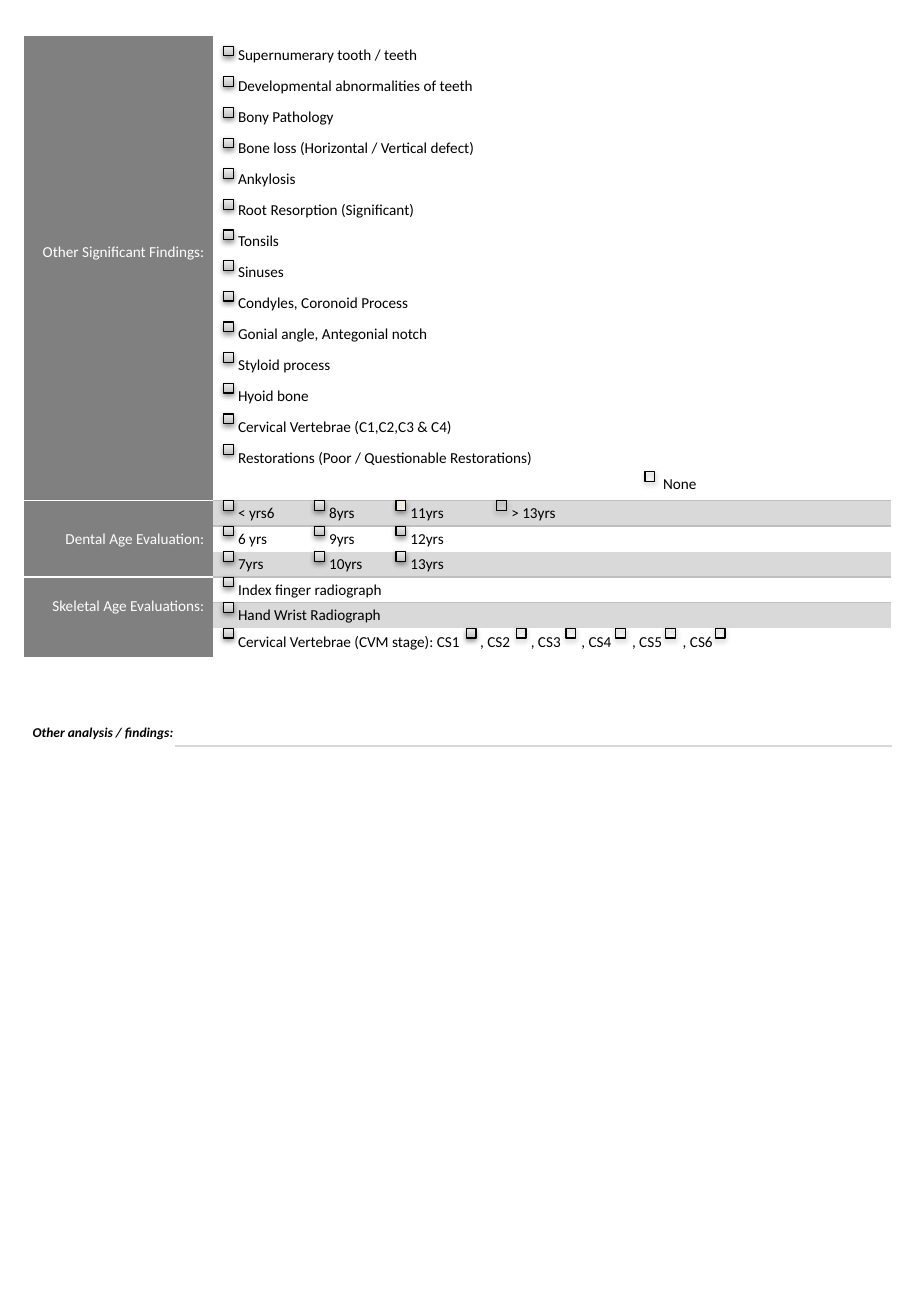
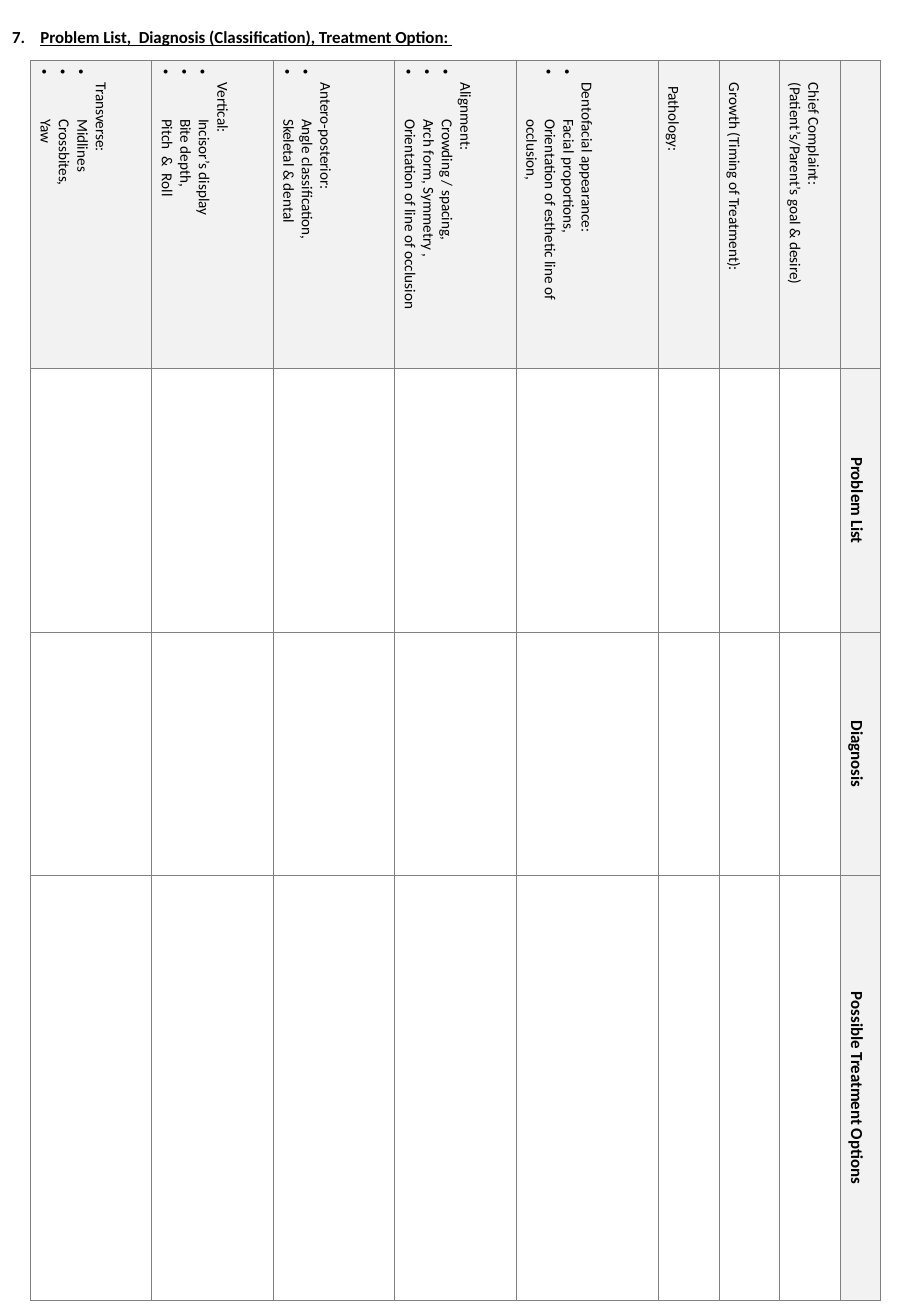
from dataclasses import dataclass
from itertools import accumulate
from typing import Optional

from lxml.etree import SubElement
from pptx import Presentation
from pptx.dml.color import RGBColor
from pptx.enum.shapes import MSO_SHAPE
from pptx.enum.text import MSO_ANCHOR as Anchor, MSO_AUTO_SIZE as AutoSize, PP_ALIGN as Align
from pptx.oxml import parse_xml
from pptx.oxml.ns import nsdecls, qn
from pptx.util import Inches, Pt


# Theme
@dataclass(frozen=True)
class Theme:
    font: str = "Calibri"
    ink: str = "000000"
    paper: str = "FFFFFF"
    label: str = "808080"
    band: str = "D9D9D9"
    rule: str = "BFBFBF"
    header: str = "F2F2F2"
    cream: str = "EEECE1"
    shades: tuple = ((0, "BDBDBD"), (35, "D1D1D1"), (100, "EEEEEE"))
    heading: float = 10
    text: float = 9
    note: float = 8


THEME = Theme()
NO_STYLE = "{2D5ABB26-0587-4C30-8999-92F81FD0307C}"


@dataclass(frozen=True)
class ParaStyle:
    """Paragraph look; gap is the extra width in points of a tab-marked space."""
    size: float = THEME.text
    color: str = THEME.ink
    bold: bool = False
    italic: bool = False
    align: Align = Align.LEFT
    left: float = 0
    first: float = 0
    spacing: float = 0
    lines: Optional[float] = None
    bullet: bool = False
    gap: float = 0


@dataclass(frozen=True)
class Entry:
    """Content of one table cell, placed by row and column."""
    row: int
    col: int
    lines: tuple = ()
    style: ParaStyle = ParaStyle()
    fill: Optional[str] = None
    rows: int = 1
    cols: int = 1
    foot: float = 0


@dataclass(frozen=True)
class Topic:
    """One column of the problem table."""
    width: float
    heading: tuple = ()
    points: tuple = ()
    indent: float = 0.08


# Drawing functions
def add_child(parent, tag: str, **attrs):
    return SubElement(parent, qn(tag), {name: str(value) for name, value in attrs.items()})


def format_paragraph(paragraph, style: ParaStyle) -> None:
    props = paragraph._p.get_or_add_pPr()
    props.set("marL", str(Inches(style.left)))
    props.set("indent", str(Inches(style.first)))
    if style.bullet:
        add_child(props, "a:buChar", char="•")
    paragraph.alignment = style.align
    paragraph.space_before = paragraph.space_after = Pt(style.spacing)
    if style.lines:
        paragraph.line_spacing = style.lines
    font = paragraph.font
    font.name, font.size = THEME.font, Pt(style.size)
    font.bold, font.italic = style.bold, style.italic
    font.color.rgb = RGBColor.from_string(style.color)
    if not paragraph.runs:
        add_child(paragraph._p, "a:endParaRPr", sz=int(style.size * 100))


def write(frame, content) -> None:
    """Fill a text frame with (text, style) pairs; a tab marks one widened space."""
    for index, (text, style) in enumerate(content):
        paragraph = frame.add_paragraph() if index else frame.paragraphs[0]
        for position, piece in enumerate(text.split("\t")):
            if position:
                space = paragraph.add_run()
                space.text = " "
                space._r.get_or_add_rPr().set("spc", str(round(style.gap * 100)))
            if piece:
                paragraph.add_run().text = piece
        format_paragraph(paragraph, style)


def add_grid(slide, left: float, top: float, cols, rows):
    table = slide.shapes.add_table(len(rows), len(cols), Inches(left), Inches(top),
                                   Inches(sum(cols)), Inches(sum(rows))).table
    table._tbl.tblPr.find(qn("a:tableStyleId")).text = NO_STYLE
    table.first_row = table.horz_banding = False
    for column, width in zip(table.columns, cols):
        column.width = Inches(width)
    for row, height in zip(table.rows, rows):
        row.height = Inches(height)
    return table


def set_borders(cell, sides: str, color: str, width: float) -> None:
    props = cell._tc.get_or_add_tcPr()
    for side in sides:
        line = add_child(props, f"a:ln{side}", w=Pt(width))
        add_child(add_child(line, "a:solidFill"), "a:srgbClr", val=color)


def set_fill(target, color: Optional[str]) -> None:
    if color:
        target.fill.solid()
        target.fill.fore_color.rgb = RGBColor.from_string(color)
    else:
        target.fill.background()


def set_insets(cell, side: float, foot: float = 0) -> None:
    cell.margin_left = cell.margin_right = Inches(side)
    cell.margin_top, cell.margin_bottom = 0, Inches(foot)


def add_checkbox(slide, left: float, top: float, fill: Optional[str] = None,
                 shaded: bool = True) -> None:
    box = slide.shapes.add_shape(MSO_SHAPE.RECTANGLE, Inches(left), Inches(top),
                                 Inches(0.08), Inches(0.08))
    props = box._element.spPr
    if shaded:
        stops = "".join(f'<a:gs pos="{pos * 1000}"><a:srgbClr val="{color}"/></a:gs>'
                        for pos, color in THEME.shades)
        props.find(qn("a:prstGeom")).addnext(parse_xml(
            f'<a:gradFill {nsdecls("a")}><a:gsLst>{stops}</a:gsLst>'
            '<a:lin ang="16200000" scaled="1"/></a:gradFill>'))
    else:
        set_fill(box, fill)
    box.line.color.rgb = RGBColor.from_string(THEME.ink)
    box.line.width = Pt(0.75)
    box.shadow.inherit = False
    shadow = add_child(props.find(qn("a:effectLst")), "a:outerShdw", blurRad=Pt(3.1),
                       dist=Pt(1.6), dir=5400000, rotWithShape=0)
    add_child(add_child(shadow, "a:srgbClr", val=THEME.ink), "a:alpha", val=38000)


# Findings content
FINDINGS = (
    "Supernumerary tooth / teeth", "Developmental abnormalities of teeth", "Bony Pathology",
    "Bone loss (Horizontal / Vertical defect)", "Ankylosis", "Root Resorption (Significant)",
    "Tonsils", "Sinuses", "Condyles, Coronoid Process", "Gonial angle, Antegonial notch",
    "Styloid process", "Hyoid bone", "Cervical Vertebrae (C1,C2,C3 & C4)",
    "Restorations (Poor / Questionable Restorations)")
AGES = (("< yrs6", "8yrs", "11yrs", "> 13yrs"), ("6 yrs", "9yrs", "12yrs", ""),
        ("7yrs", "10yrs", "13yrs", ""))
STAGES = "Cervical Vertebrae (CVM stage): " + "\t, ".join(f"CS{n}" for n in range(1, 7))

LABEL = ParaStyle(color=THEME.paper, align=Align.RIGHT, spacing=1)
PLAIN = ParaStyle(spacing=1)
OPTION = ParaStyle(first=0.14, spacing=1)
FINDING = ParaStyle(first=0.14, spacing=1, lines=1.5)
STAGE = ParaStyle(first=0.14, spacing=1, gap=10.2)

FORM_LEFT, FORM_TOP = 0.2, 0.3
FORM_COLS = (1.55, 0.75, 0.67, 0.83, 1.39, 1.03, 0.92)
FORM_ROWS = (3.49, 0.27, *[0.21] * 5, 0.24)
COL_LEFTS = tuple(accumulate(FORM_COLS, initial=FORM_LEFT))

ENTRIES = (
    Entry(0, 0, ("Other Significant Findings:",), LABEL, THEME.label),
    Entry(0, 1, FINDINGS, FINDING, cols=6),
    Entry(1, 0, fill=THEME.label),
    Entry(1, 1, cols=4),
    Entry(1, 5, ("None",), PLAIN, cols=2),
    Entry(2, 0, ("Dental Age Evaluation:",), LABEL, THEME.label, rows=3),
    *(Entry(2 + r, 1 + c, (age,), OPTION, None if r == 1 else THEME.band,
            cols=3 if c == 3 else 1)
      for r, ages in enumerate(AGES) for c, age in enumerate(ages)),
    Entry(5, 0, ("Skeletal Age Evaluations:",), LABEL, THEME.label, rows=3, foot=0.18),
    Entry(5, 1, ("Index finger radiograph",), OPTION, cols=6),
    Entry(6, 1, ("Hand Wrist Radiograph",), OPTION, THEME.band, cols=6),
    Entry(7, 1, (STAGES,), STAGE, cols=5),
)
LABEL_EDGES = {1: "B", 2: "TB", 5: "T"}
OPTION_EDGES = {1: "B", 2: "T", 4: "B", 5: "T"}


def build_findings(slide) -> None:
    form = add_grid(slide, FORM_LEFT, FORM_TOP, FORM_COLS, FORM_ROWS)
    entries = {(entry.row, entry.col): entry for entry in ENTRIES}
    for r in range(len(FORM_ROWS)):
        for c in range(len(FORM_COLS)):
            cell, entry = form.cell(r, c), entries.get((r, c), Entry(r, c))
            if c == 0:
                set_borders(cell, LABEL_EDGES.get(r, ""), THEME.paper, 1)
            else:
                set_borders(cell, OPTION_EDGES.get(r, ""), THEME.rule, 1)
            set_fill(cell, entry.fill)
            set_insets(cell, 0.07, entry.foot)
            cell.vertical_anchor = Anchor.MIDDLE
            write(cell.text_frame, [(line, entry.style) for line in entry.lines or ("",)])
    for entry in ENTRIES:
        if entry.rows * entry.cols > 1:
            form.cell(entry.row, entry.col).merge(
                form.cell(entry.row + entry.rows - 1, entry.col + entry.cols - 1))

    # Line for other findings
    answer = add_grid(slide, 1.44, 5.89, (5.9,), (0.25,)).cell(0, 0)
    set_borders(answer, "B", THEME.band, 1)
    set_fill(answer, None)
    set_insets(answer, 0.07)
    write(answer.text_frame, [("", PLAIN)])
    other = slide.shapes.add_textbox(Inches(0.17), Inches(5.91), Inches(1.4), Inches(0.24))
    other.text_frame.word_wrap = False
    other.text_frame.auto_size = AutoSize.SHAPE_TO_FIT_TEXT
    write(other.text_frame, [("Other analysis / findings: ",
                              ParaStyle(THEME.note, bold=True, italic=True))])

    # Checkboxes: findings, ages, skeletal methods, stages
    option_lefts = [left + 0.09 for left in COL_LEFTS[1:5]]
    option_tops = [4.12 + 0.21 * n for n in range(6)]
    finding_pitch = (3.66 - 0.38) / (len(FINDINGS) - 1)
    for n in range(len(FINDINGS)):
        add_checkbox(slide, option_lefts[0], 0.38 + finding_pitch * n)
    for top, ages in zip(option_tops, AGES):
        for left, age in zip(option_lefts, ages):
            if age:
                add_checkbox(slide, left, top, THEME.cream if age == "11yrs" else None,
                             shaded=age not in ("11yrs", "> 13yrs"))
    for top in option_tops[3:]:
        add_checkbox(slide, option_lefts[0], top)
    for n in range(6):
        add_checkbox(slide, 3.84 + 0.41 * n, option_tops[-1], shaded=n == 0)
    add_checkbox(slide, COL_LEFTS[5] - 0.08, 3.88, shaded=False)


# Problem list content
TOPICS = (
    Topic(1, ("Transverse:  ",), ("Midlines", "Crossbites,  ", "Yaw")),
    Topic(1, ("Vertical:  ",), ("Incisor’s display", "Bite depth, ", "Pitch  &  Roll ")),
    Topic(1, ("Antero-posterior:  ",), ("Angle classification, ", "Skeletal & dental")),
    Topic(1, ("Alignment:  ",), ("Crowding / spacing, ", "Arch form, Symmetry , ",
                                 "Orientation of line of occlusion")),
    Topic(1.17, ("Dentofacial appearance:  ",),
          ("Facial proportions, ", "Orientation of esthetic line of occlusion, ")),
    Topic(0.5, ("Pathology:",), indent=0.11),
    Topic(0.5, ("Growth (Timing of Treatment): ",)),
    Topic(0.5, ("Chief Complaint:", "(Patient’s/Parent’s goal & desire)")),
    Topic(0.33),
)
STEPS = ("", "Problem List", "Diagnosis", "Possible Treatment Options")
STEP_HEIGHTS = (2.08, 2.17, 2, 3.5)
POINT = ParaStyle(left=0.38, first=-0.38, bullet=True)
STEP = ParaStyle(THEME.heading, bold=True, align=Align.CENTER)


def build_problems(slide) -> None:
    # Heading
    title = slide.shapes.title
    title.left, title.top, title.width, title.height = map(Inches, (0, 0.17, 4.54, 0.27))
    frame = title.text_frame
    frame.word_wrap, frame.auto_size = True, AutoSize.SHAPE_TO_FIT_TEXT
    frame.vertical_anchor = Anchor.TOP
    write(frame, [("7.\t", ParaStyle(THEME.heading, bold=True, gap=6.8))])
    subject = frame.paragraphs[0].add_run()
    subject.text = "Problem List,  Diagnosis (Classification), Treatment Option: "
    subject.font.underline = True

    # Table turned a quarter: topics run across, steps run down
    problems = add_grid(slide, 0.25, 0.5, [topic.width for topic in TOPICS], STEP_HEIGHTS)
    for r, step in enumerate(STEPS):
        for c, topic in enumerate(TOPICS):
            cell, content = problems.cell(r, c), [("", ParaStyle())]
            last = c == len(TOPICS) - 1
            if r == 0 and topic.heading:
                heading = ParaStyle(left=topic.indent)
                content = ([(line, heading) for line in topic.heading]
                           + [(point, POINT) for point in topic.points])
            elif last and step:
                content = [(step, STEP)]
            set_borders(cell, "LRTB", THEME.label, 0.5)
            set_fill(cell, THEME.header if r == 0 or last else None)
            if content[0][0]:
                cell._tc.get_or_add_tcPr().set("vert", "vert")
            cell.vertical_anchor = Anchor.TOP if topic.points else Anchor.MIDDLE
            write(cell.text_frame, content)


# Slides
deck = Presentation()
deck.slide_width, deck.slide_height = Inches(7.5), Inches(10.83)
TITLE_ONLY, BLANK = deck.slide_layouts[5], deck.slide_layouts[6]
build_findings(deck.slides.add_slide(BLANK))
build_problems(deck.slides.add_slide(TITLE_ONLY))
deck.save("out.pptx")
